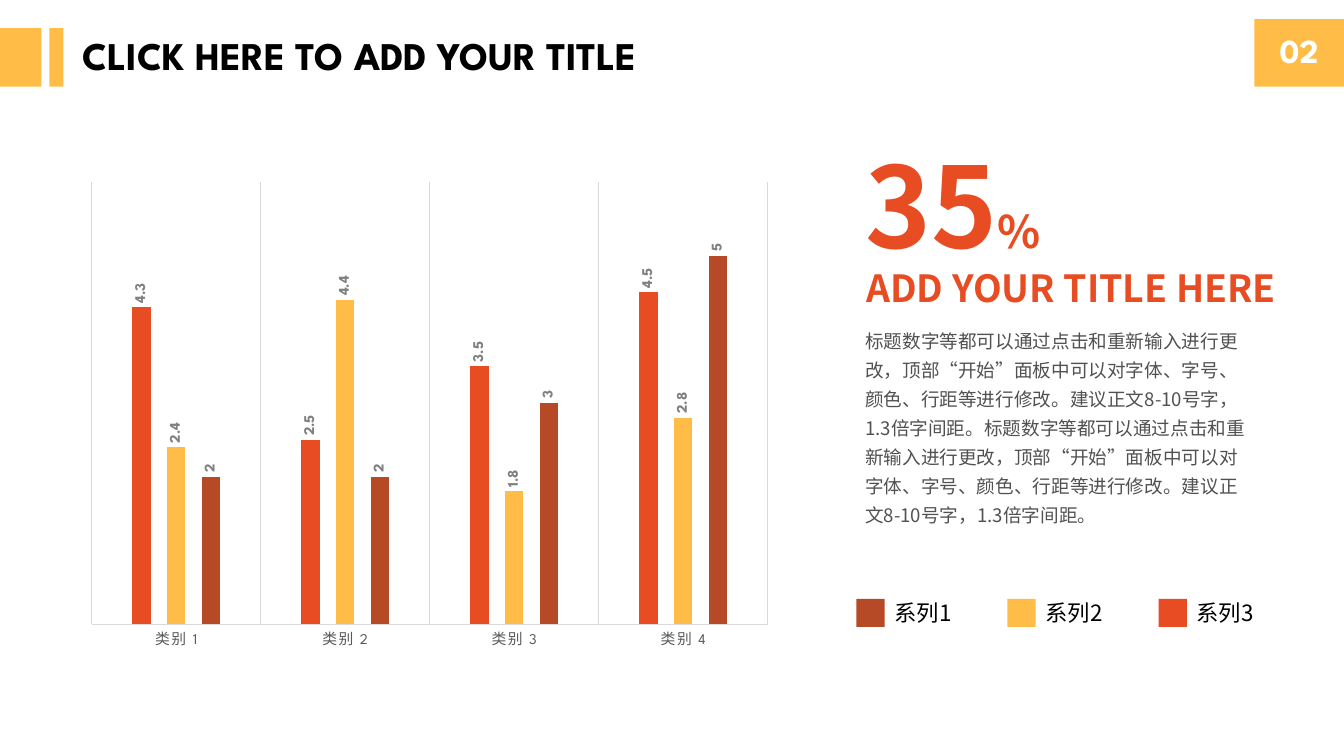
from lxml import etree
from pptx import Presentation
from pptx.chart.data import CategoryChartData
from pptx.dml.color import RGBColor
from pptx.enum.chart import XL_CHART_TYPE, XL_LABEL_POSITION, XL_TICK_MARK
from pptx.enum.shapes import MSO_SHAPE
from pptx.enum.text import MSO_ANCHOR, MSO_AUTO_SIZE, PP_ALIGN
from pptx.oxml import parse_xml
from pptx.oxml.ns import nsdecls, qn
from pptx.util import Inches, Pt

RECT = MSO_SHAPE.RECTANGLE
TOP, MIDDLE = MSO_ANCHOR.TOP, MSO_ANCHOR.MIDDLE
LEFT, CENTER = PP_ALIGN.LEFT, PP_ALIGN.CENTER
HEAD_FONT, BODY_FONT = "League Spartan", "Noto Sans CJK SC"
ORANGE, YELLOW, BROWN = "E84C22", "FFBD47", "B64926"
LINE_GREY = "D9D9D9"

prs = Presentation()
prs.slide_width, prs.slide_height = Inches(13.34), Inches(7.5)
s = prs.slides.add_slide(prs.slide_layouts[5])


def write(sp, text, size, color, font=BODY_FONT, bold=False, align=LEFT,
          anchor=TOP, wrap=True, spacing=None, tail=None, tail_size=None):
    """Fill a shape with one paragraph; tail is a second run in another size."""
    tf = sp.text_frame
    tf.auto_size = MSO_AUTO_SIZE.NONE
    tf.word_wrap, tf.vertical_anchor = wrap, anchor
    p = tf.paragraphs[0]
    p.alignment, p.line_spacing, p.space_before = align, spacing, Pt(0)
    for words, pt in ((text, size), (tail, tail_size)):
        if words:
            r = p.add_run()
            r.text = words
            r.font.size, r.font.bold, r.font.name = Pt(pt), bold, font
            r.font.color.rgb = RGBColor.from_string(color)
            etree.SubElement(r.font._element, qn("a:ea"), typeface=font)


def add_block(left, top, width, height, color):
    sp = s.shapes.add_shape(RECT, Inches(left), Inches(top), Inches(width), Inches(height))
    sp.shadow.inherit = False
    sp.fill.solid()
    sp.fill.fore_color.rgb = RGBColor.from_string(color)
    sp.line.fill.background()
    return sp


# Header
add_block(0, 0.28, 0.41, 0.58, YELLOW)
add_block(0.49, 0.28, 0.14, 0.58, YELLOW)
number = add_block(12.45, 0.19, 0.89, 0.67, YELLOW)
write(number, "02", 24, "FFFFFF", font=HEAD_FONT, bold=True, align=CENTER,
      anchor=MIDDLE, spacing=0.9)
title = s.shapes.title
title.left, title.top, title.width, title.height = (Inches(v) for v in (0.72, 0.28, 6.22, 0.58))
write(title, "CLICK HERE TO ADD YOUR TITLE", 28, "000000", font=HEAD_FONT, bold=True,
      anchor=MIDDLE, spacing=0.9)

# Column chart
data = CategoryChartData()
data.categories = [f"类别 {n}" for n in range(1, 5)]
data.add_series("Series 1", (4.3, 2.5, 3.5, 4.5))
data.add_series("Series 2", (2.4, 4.4, 1.8, 2.8))
data.add_series("Series 3", (2, 2, 3, 5))
chart = s.shapes.add_chart(XL_CHART_TYPE.COLUMN_CLUSTERED, Inches(0.77), Inches(1.71),
                           Inches(6.99), Inches(4.82), data).chart
chart.has_legend = chart.has_title = False
chart.font.size, chart.font.name = Pt(10), HEAD_FONT

plot = chart.plots[0]
plot.vary_by_categories = False
plot.gap_width, plot.overlap = 444, -90
for series, color in zip(plot.series, (ORANGE, YELLOW, BROWN)):
    series.format.fill.solid()
    series.format.fill.fore_color.rgb = RGBColor.from_string(color)
    labels = series.data_labels
    labels.show_value, labels.position = True, XL_LABEL_POSITION.OUTSIDE_END
    labels.font.size, labels.font.bold, labels.font.name = Pt(10.6), True, HEAD_FONT
    labels.font.color.rgb = RGBColor.from_string("808080")
    body = labels._element.find(".//" + qn("a:bodyPr"))
    body.set("rot", "-5400000")
    body.set("vert", "horz")

values = chart.value_axis
values.minimum_scale, values.maximum_scale = 0, 6
values.has_major_gridlines = values.visible = False

cats = chart.category_axis
cats.has_major_gridlines = True
cats.major_tick_mark = cats.minor_tick_mark = XL_TICK_MARK.NONE
for line in (cats.format.line, cats.major_gridlines.format.line):
    line.width = Pt(0.75)
    line.color.rgb = RGBColor.from_string(LINE_GREY)
font = cats.tick_labels.font
font.size, font.name = Pt(10.6), HEAD_FONT
font.color.rgb = RGBColor.from_string("595959")
cats._element.find(".//" + qn("a:defRPr")).set("spc", "120")

area = chart._chartSpace.find(".//" + qn("c:plotArea"))
for old in area.findall(qn("c:layout")):
    area.remove(old)
area.insert(0, parse_xml(
    f'<c:layout {nsdecls("c")}><c:manualLayout><c:layoutTarget val="inner"/>'
    '<c:xMode val="edge"/><c:yMode val="edge"/><c:x val="0.02"/><c:y val="0.02"/>'
    '<c:w val="0.96"/><c:h val="0.91"/></c:manualLayout></c:layout>'))

# Key figure and text
advice = ("标题数字等都可以通过点击和重新输入进行更改，顶部“开始”面板中可以对字体、字号、"
          "颜色、行距等进行修改。建议正文8-10号字，1.3倍字间距。")
texts = [
    ((8.49, 1.31, 2, 1.45), "35",
     dict(size=80, color=ORANGE, bold=True, wrap=False, tail="%", tail_size=32)),
    ((8.5, 2.58, 4.51, 0.55), "ADD YOUR TITLE HERE",
     dict(size=26.7, color=ORANGE, bold=True, wrap=False)),
    ((8.49, 3.16, 4.07, 2.14), advice * 2, dict(size=13.3, color="515151", spacing=1.3)),
]

# Legend
for i, color in enumerate((BROWN, YELLOW, ORANGE)):
    left = 8.5 + 1.5 * i
    add_block(left, 5.94, 0.28, 0.28, color)
    texts.append(((left + 0.28, 5.89, 0.94, 0.37), f"系列{i + 1}",
                  dict(size=16, color="000000", anchor=MIDDLE)))

for box, text, style in texts:
    write(s.shapes.add_textbox(*(Inches(v) for v in box)), text, **style)

prs.save("out.pptx")
